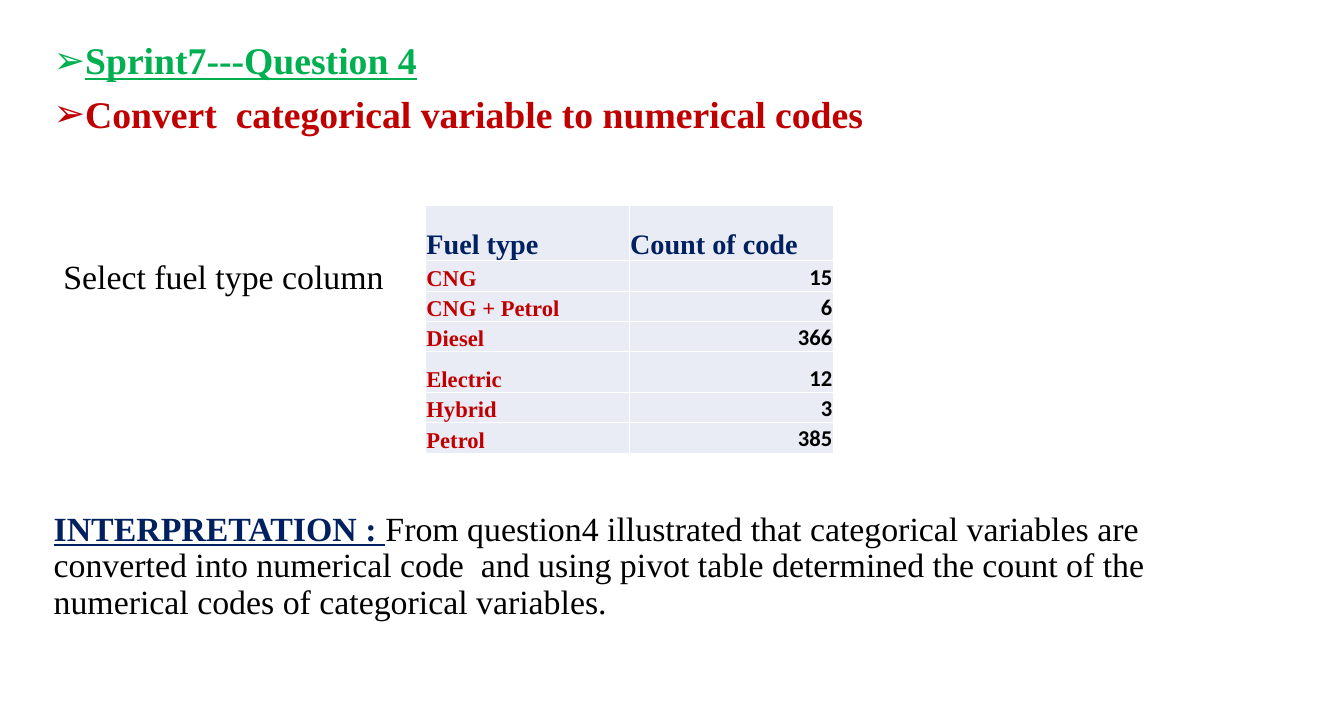
from dataclasses import dataclass

from lxml import etree
from pptx import Presentation
from pptx.dml.color import RGBColor
from pptx.enum.text import MSO_ANCHOR, MSO_AUTO_SIZE, PP_ALIGN
from pptx.oxml.ns import qn
from pptx.util import Inches, Pt

BOTTOM = MSO_ANCHOR.BOTTOM
LEFT, RIGHT = PP_ALIGN.LEFT, PP_ALIGN.RIGHT
NO_AUTOFIT = MSO_AUTO_SIZE.NONE


@dataclass(frozen=True)
class Theme:
    serif: str = "Times New Roman"
    sans: str = "Calibri"
    green: str = "00B050"
    red: str = "C00000"
    navy: str = "002060"
    black: str = "000000"
    white: str = "FFFFFF"
    cell: str = "E9EBF5"
    heading: float = 33.4
    body: float = 30
    table_header: float = 25
    table_body: float = 20


THEME = Theme()

PARAGRAPHS = [
    {"bullet": "➢", "before": 11.9, "indent": 0.3,
     "runs": [("Sprint7---Question 4", THEME.heading, THEME.green, True, True)]},
    {"bullet": "➢", "before": 11.2, "indent": 0.3,
     "runs": [("Convert  categorical variable to numerical codes",
               THEME.heading, THEME.red, True, False)]},
    {"bullet": None, "before": 110.2, "indent": 0.12,
     "runs": [("Select fuel type column", THEME.body, THEME.black, False, False)]},
    {"bullet": None, "before": 190.4, "indent": 0,
     "runs": [("INTERPRETATION : ", THEME.body, THEME.navy, True, True),
              ("From question4 illustrated that categorical variables are converted "
               "into numerical code  and using pivot table determined the count of the "
               "numerical codes of categorical variables.",
               THEME.body, THEME.black, False, False)]},
]

FUEL_HEADER = ("Fuel type", "Count of code")
FUEL_COUNTS = [("CNG", 15), ("CNG + Petrol", 6), ("Diesel", 366),
               ("Electric", 12), ("Hybrid", 3), ("Petrol", 385)]

SLIDE_WIDTH = Pt(1190.5)
SLIDE_HEIGHT = Pt(643.5)
BODY_BOX = (0.56, 0.47, 14.84, 7.58)
TABLE_LEFT = Pt(377)
TABLE_TOP = Pt(182.2)
COLUMN_WIDTH = Pt(180.5)
ROW_HEIGHT = Pt(26.9)
TALL_ROWS = {0: Pt(49), 4: Pt(36)}


def add_run(paragraph, text, size, color, bold, underline=False, font=THEME.serif):
    run = paragraph.add_run()
    run.text = text
    run.font.name = font
    run.font.size = Pt(size)
    run.font.bold = bold
    run.font.underline = underline
    run.font.color.rgb = RGBColor.from_string(color)


def set_bullet(paragraph, bullet, indent):
    properties = paragraph._p.get_or_add_pPr()
    properties.set("marL", str(Inches(indent)))
    properties.set("indent", str(-Inches(indent) if bullet else 0))
    if bullet:
        etree.SubElement(properties, qn("a:buChar")).set("char", bullet)
    else:
        etree.SubElement(properties, qn("a:buNone"))


def fill_body(placeholder):
    placeholder.left, placeholder.top, placeholder.width, placeholder.height = map(Inches, BODY_BOX)
    frame = placeholder.text_frame
    frame.word_wrap = True
    frame.auto_size = NO_AUTOFIT
    for index, content in enumerate(PARAGRAPHS):
        paragraph = frame.add_paragraph() if index else frame.paragraphs[0]
        paragraph.line_spacing = 0.9
        paragraph.space_before = Pt(content["before"])
        paragraph.space_after = Pt(0)
        set_bullet(paragraph, content["bullet"], content["indent"])
        for run in content["runs"]:
            add_run(paragraph, *run)


def add_borders(cell):
    properties = cell._tc.get_or_add_tcPr()
    for side in ("a:lnL", "a:lnR", "a:lnT", "a:lnB"):
        line = etree.SubElement(properties, qn(side))
        line.set("w", str(Pt(1)))
        fill = etree.SubElement(line, qn("a:solidFill"))
        etree.SubElement(fill, qn("a:srgbClr")).set("val", THEME.white)


def fill_cell(cell, text, size, color, font, alignment):
    add_borders(cell)
    cell.fill.solid()
    cell.fill.fore_color.rgb = RGBColor.from_string(THEME.cell)
    cell.vertical_anchor = BOTTOM
    cell.margin_left = cell.margin_right = cell.margin_top = Inches(0.01)
    cell.margin_bottom = 0
    paragraph = cell.text_frame.paragraphs[0]
    paragraph.alignment = alignment
    add_run(paragraph, text, size, color, True, font=font)


def add_fuel_table(slide):
    row_count = len(FUEL_COUNTS) + 1
    column_count = len(FUEL_HEADER)
    heights = [TALL_ROWS.get(index, ROW_HEIGHT) for index in range(row_count)]
    table = slide.shapes.add_table(row_count, column_count, TABLE_LEFT, TABLE_TOP,
                                   COLUMN_WIDTH * column_count, sum(heights)).table
    for column in table.columns:
        column.width = COLUMN_WIDTH
    for row, height in zip(table.rows, heights):
        row.height = height
    for index, label in enumerate(FUEL_HEADER):
        fill_cell(table.cell(0, index), label, THEME.table_header, THEME.navy, THEME.serif, LEFT)
    for index, (fuel, count) in enumerate(FUEL_COUNTS, start=1):
        fill_cell(table.cell(index, 0), fuel, THEME.table_body, THEME.red, THEME.serif, LEFT)
        fill_cell(table.cell(index, 1), str(count), THEME.table_body, THEME.black, THEME.sans, RIGHT)


def main():
    presentation = Presentation()
    presentation.slide_width = SLIDE_WIDTH
    presentation.slide_height = SLIDE_HEIGHT
    slide = presentation.slides.add_slide(presentation.slide_layouts[1])
    title = slide.shapes.title
    title.element.getparent().remove(title.element)
    fill_body(slide.placeholders[1])
    add_fuel_table(slide)
    presentation.save("out.pptx")


if __name__ == "__main__":
    main()
